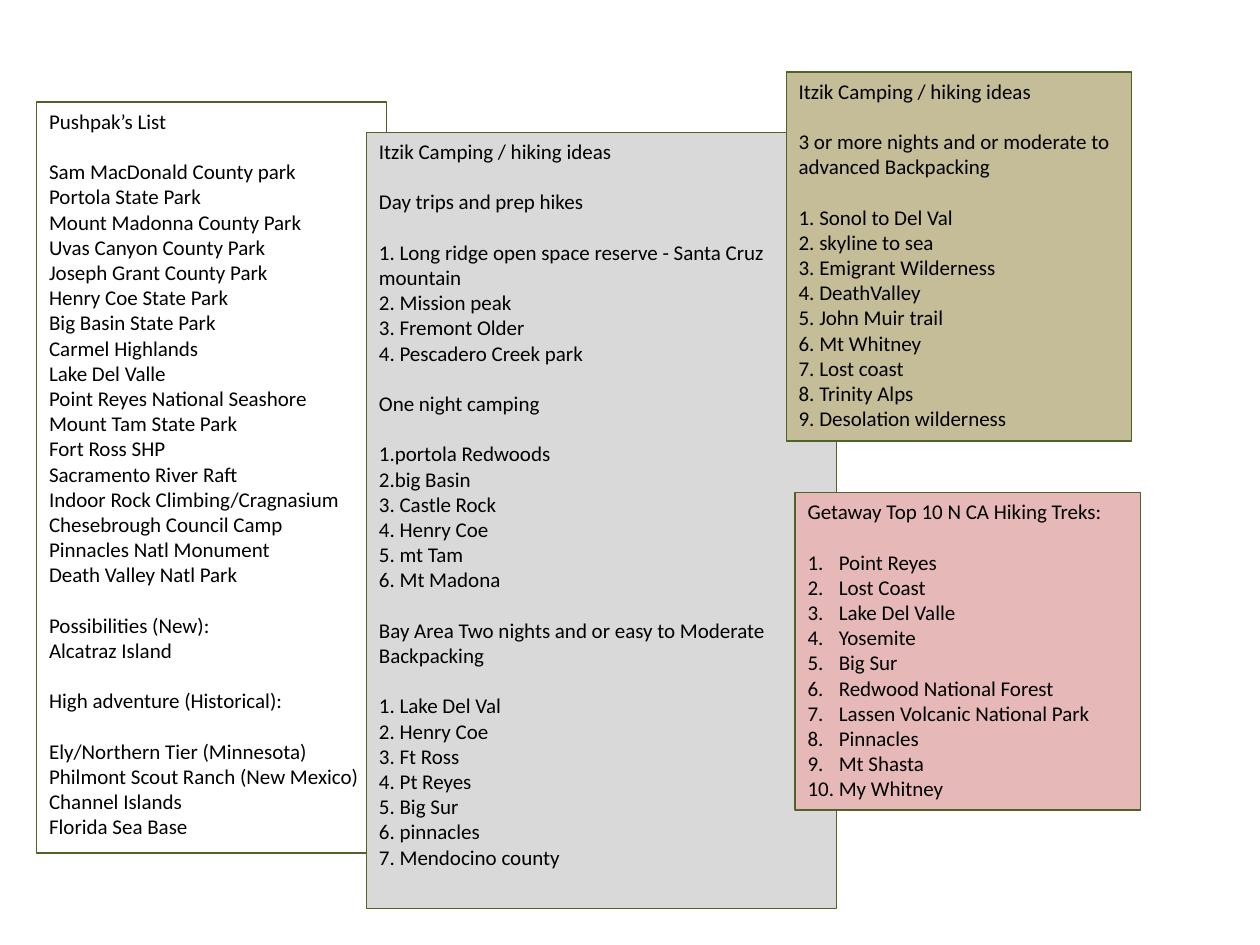
from dataclasses import dataclass

from lxml.etree import SubElement
from pptx import Presentation
from pptx.dml.color import RGBColor as Rgb
from pptx.enum.shapes import MSO_SHAPE as Shape
from pptx.enum.text import MSO_ANCHOR as Anchor, PP_ALIGN as Align
from pptx.oxml.ns import qn
from pptx.util import Cm, Pt


@dataclass(frozen=True)
class Theme:
    """Colours, font and sizes of the slide."""
    font: str = "Calibri"
    size: float = 12
    section_gap: float = 14.4
    border_width: float = 0.75
    ink: str = "000000"
    border: str = "4F6228"
    day_trips: str = "D9D9D9"
    long_trips: str = "C4BD97"
    top_ten: str = "E6B9B8"


THEME = Theme()

PUSHPAK_LIST = [
    ["Pushpak’s List"],
    ["Sam MacDonald County park", "Portola State Park",
     "Mount Madonna County Park", "Uvas Canyon County Park",
     "Joseph Grant County Park", "Henry Coe State Park",
     "Big Basin State Park", "Carmel Highlands", "Lake Del Valle",
     "Point Reyes National Seashore", "Mount Tam State Park",
     "Fort Ross SHP", "Sacramento River Raft",
     "Indoor Rock Climbing/Cragnasium", "Chesebrough Council Camp",
     "Pinnacles Natl Monument", "Death Valley Natl Park"],
    ["Possibilities (New):", "Alcatraz Island"],
    ["High adventure (Historical):"],
    ["Ely/Northern Tier (Minnesota)", "Philmont Scout Ranch (New Mexico)",
     "Channel Islands", "Florida Sea Base"],
]

SHORT_TRIPS = [
    ["Itzik Camping / hiking ideas"],
    ["Day trips and prep hikes"],
    ["1. Long ridge open space reserve - Santa Cruz mountain",
     "2. Mission peak", "3. Fremont Older", "4. Pescadero Creek park"],
    ["One night camping"],
    ["1.portola Redwoods", "2.big Basin", "3. Castle Rock", "4. Henry Coe",
     "5. mt Tam", "6. Mt Madona"],
    ["Bay Area Two nights and or easy to Moderate Backpacking"],
    ["1. Lake Del Val", "2. Henry Coe", "3. Ft Ross", "4. Pt Reyes",
     "5. Big Sur", "6. pinnacles", "7. Mendocino county"],
]

LONG_TRIPS = [
    ["Itzik Camping / hiking ideas"],
    ["3 or more nights and or moderate to advanced Backpacking"],
    ["1. Sonol to Del Val", "2. skyline to sea", "3. Emigrant Wilderness",
     "4. DeathValley", "5. John Muir trail", "6. Mt Whitney",
     "7. Lost coast", "8. Trinity Alps", "9. Desolation wilderness"],
]

TOP_TEN = [
    ["Getaway Top 10 N CA Hiking Treks:"],
    ["Point Reyes", "Lost Coast", "Lake Del Valle", "Yosemite", "Big Sur",
     "Redwood National Forest", "Lassen Volcanic National Park",
     "Pinnacles", "Mt Shasta", "My Whitney"],
]


def number(paragraph):
    """Give a paragraph an automatic number and a hanging indent."""
    properties = paragraph._p.get_or_add_pPr()
    hang = Cm(0.63)
    properties.set("marL", str(hang))
    properties.set("indent", str(-hang))
    SubElement(properties, qn("a:buFont"), typeface="+mj-lt")
    SubElement(properties, qn("a:buAutoNum"), type="arabicPeriod")


def write(paragraph, text, *, gap=0, numbered=False):
    """Write one line of a list in the theme's type."""
    paragraph.alignment = Align.LEFT
    if gap:
        paragraph.space_before = Pt(gap)
    if numbered:
        number(paragraph)
    line = paragraph.add_run()
    line.text = text
    line.font.name = THEME.font
    line.font.size = Pt(THEME.size)
    line.font.color.rgb = Rgb.from_string(THEME.ink)


def add_card(slide, left, top, width, height, fill=None):
    """Add a bordered card and return its text frame."""
    card = slide.shapes.add_shape(
        Shape.RECTANGLE, Cm(left), Cm(top), Cm(width), Cm(height))
    card.shadow.inherit = False
    if fill:
        card.fill.solid()
        card.fill.fore_color.rgb = Rgb.from_string(fill)
    else:
        card.fill.background()
    card.line.color.rgb = Rgb.from_string(THEME.border)
    card.line.width = Pt(THEME.border_width)
    card.text_frame.word_wrap = True
    card.text_frame.vertical_anchor = Anchor.TOP
    return card.text_frame


def fill_card(frame, sections, numbered=False):
    """Write sections set apart by a gap, numbering those after the title."""
    for section_index, section in enumerate(sections):
        for line_index, text in enumerate(section):
            first = section_index == line_index == 0
            starts_section = section_index > 0 and line_index == 0
            write(frame.paragraphs[0] if first else frame.add_paragraph(),
                  text,
                  gap=THEME.section_gap if starts_section else 0,
                  numbered=numbered and section_index > 0)


def main():
    """Build the slide of hiking lists and save it."""
    deck = Presentation()
    deck.slide_width, deck.slide_height = Cm(25.4), Cm(19.05)
    slide = deck.slides.add_slide(deck.slide_layouts[6])

    fill_card(add_card(slide, 0.74, 2.06, 7.06, 15.14), PUSHPAK_LIST)
    fill_card(add_card(slide, 7.39, 2.67, 9.47, 15.65, THEME.day_trips),
              SHORT_TRIPS)
    fill_card(add_card(slide, 15.85, 1.45, 6.96, 7.44, THEME.long_trips),
              LONG_TRIPS)
    fill_card(add_card(slide, 16.03, 9.93, 6.96, 6.4, THEME.top_ten),
              TOP_TEN, numbered=True)

    deck.save("out.pptx")


if __name__ == "__main__":
    main()
